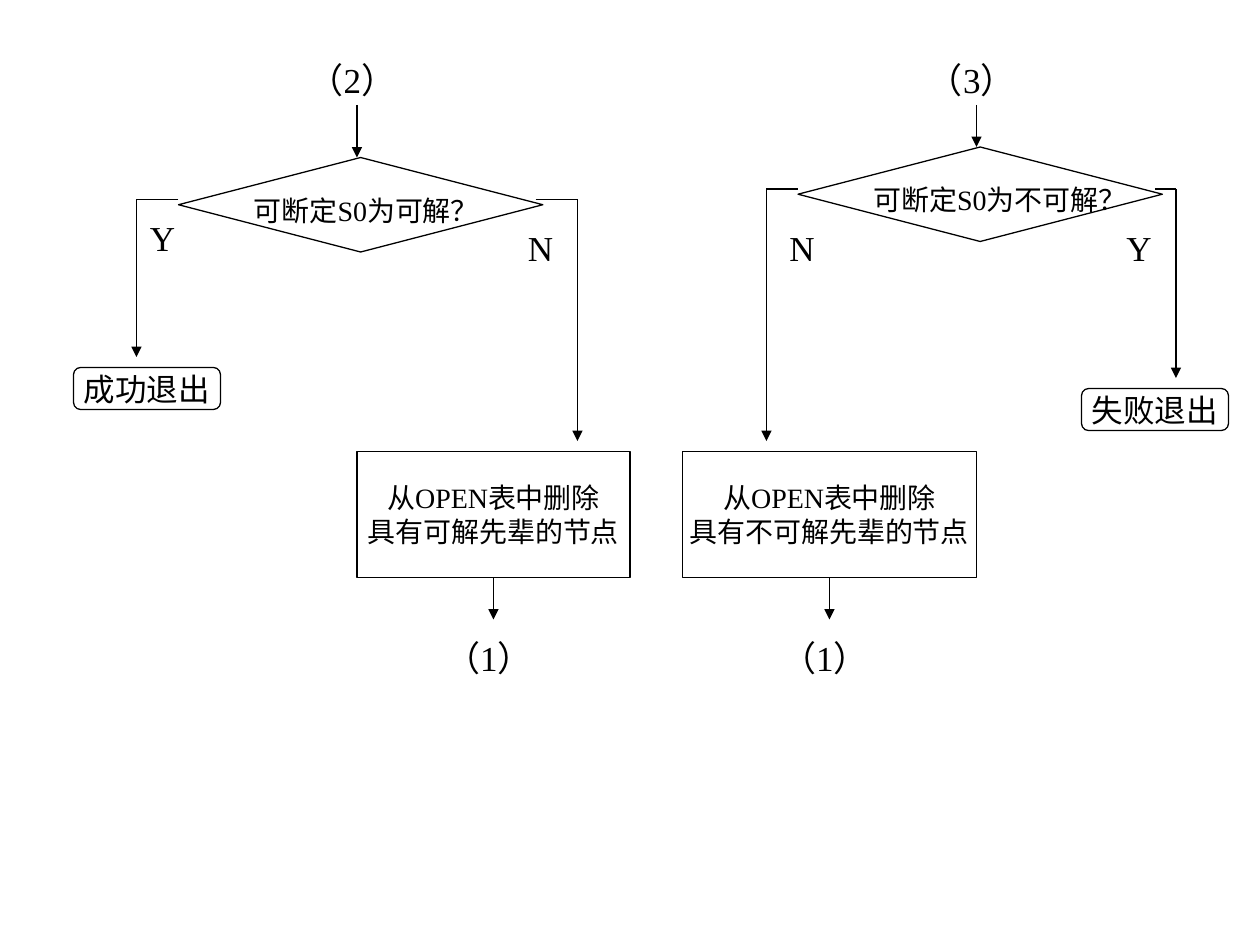
from dataclasses import dataclass

from lxml import etree
from pptx import Presentation
from pptx.dml.color import RGBColor
from pptx.enum.shapes import MSO_CONNECTOR, MSO_SHAPE
from pptx.enum.text import MSO_ANCHOR, MSO_AUTO_SIZE, PP_ALIGN
from pptx.oxml.ns import qn
from pptx.util import Pt

PX = 7620  # EMU per px, 120 px to the inch
DIAMOND, RECT, ROUND = MSO_SHAPE.DIAMOND, MSO_SHAPE.RECTANGLE, MSO_SHAPE.ROUNDED_RECTANGLE
STRAIGHT = MSO_CONNECTOR.STRAIGHT
CENTER, MIDDLE = PP_ALIGN.CENTER, MSO_ANCHOR.MIDDLE
GROW = MSO_AUTO_SIZE.SHAPE_TO_FIT_TEXT


@dataclass(frozen=True)
class Theme:
    font: str = "Times New Roman"
    ink: RGBColor = RGBColor(0, 0, 0)
    line: float = 0.75
    step: int = 16
    exit: int = 18
    label: int = 20


THEME = Theme()


def emu(*lengths):
    return [n * PX for n in lengths]


def write(sp, lines, size, align=None):
    tf = sp.text_frame
    tf.word_wrap = False
    for i, line in enumerate(lines):
        p = tf.paragraphs[0] if i == 0 else tf.add_paragraph()
        if align is not None:
            p.alignment = align
        r = p.add_run()
        r.text = line
        for name, value in {"name": THEME.font, "size": Pt(size)}.items():
            setattr(r.font, name, value)
        r.font.color.rgb = THEME.ink
    return tf


def add_label(shapes, text, x, y, w, h, size=THEME.label):
    sp = shapes.add_textbox(*emu(x, y, w, h))
    write(sp, [text], size).auto_size = GROW


def add_outline(shapes, kind, x, y, w, h, lines=(), size=THEME.step):
    sp = shapes.add_shape(kind, *emu(x, y, w, h))
    sp.shadow.inherit = False
    sp.fill.background()
    sp.line.color.rgb = THEME.ink
    sp.line.width = Pt(THEME.line)
    if lines:
        write(sp, lines, size, CENTER).vertical_anchor = MIDDLE


def add_line(shapes, x1, y1, x2, y2, arrow=True):
    c = shapes.add_connector(STRAIGHT, *emu(x1, y1, x2, y2))
    c.line.color.rgb = THEME.ink
    c.line.width = Pt(THEME.line)
    if arrow:
        etree.SubElement(c.line._get_or_add_ln(), qn("a:tailEnd"), type="triangle")
    etree.SubElement(c._element.spPr, qn("a:effectLst"))


def add_branch(shapes, left, top, branch):
    """Draw one branch of the flow, relative to its top left corner."""
    dx, dy = left + branch["decision"][0], top + branch["decision"][1]

    # Decision with its question
    group = shapes.add_group_shape().shapes
    add_outline(group, DIAMOND, dx, dy, 347, 90)
    add_label(group, branch["question"], dx + 60, dy + 28, branch["question_w"], 44, THEME.step)

    # Entry marker and arrow
    add_label(shapes, branch["entry"], dx + 112, top, 124, 53)
    add_line(shapes, dx + 170, top + 50, dx + 170, dy)

    # Answers: an arm out of the decision, then an arrow down
    for text, start, end, bottom, label_x, label_y in branch["answers"]:
        add_line(shapes, dx + start, dy + 40, dx + end, dy + 40, arrow=False)
        add_line(shapes, dx + end, dy + 40, dx + end, top + bottom)
        add_label(shapes, text, dx + label_x, dy + label_y, 48, 53)

    # Exit box
    x, y = branch["exit_at"]
    add_outline(shapes, ROUND, left + x, top + y, 140, 40, [branch["exit"]], THEME.exit)

    # Deletion step, leading back to marker 1
    x, w = branch["step"]
    add_outline(shapes, RECT, left + x, top + 380, w, 120, ["从OPEN表中删除", branch["deleted"]])
    middle = left + x + w // 2
    add_line(shapes, middle, top + 500, middle, top + 540)
    add_label(shapes, "（1）", middle - 58, top + 550, 124, 53)


# answers: text, arm start and end, arrow bottom, label x and y
SOLVABLE = {
    "entry": "（2）", "question": "可断定S0为可解？", "question_w": 251,
    "decision": (100, 100), "step": (270, 260), "deleted": "具有可解先辈的节点",
    "exit": "成功退出", "exit_at": (0, 300),
    "answers": [("Y", 0, -40, 290, -39, 50), ("N", 340, 380, 370, 321, 60)],
}
UNSOLVABLE = {
    "entry": "（3）", "question": "可断定S0为不可解？", "question_w": 277,
    "decision": (110, 90), "step": (0, 280), "deleted": "具有不可解先辈的节点",
    "exit": "失败退出", "exit_at": (380, 320),
    "answers": [("N", 0, -30, 370, -20, 70), ("Y", 340, 360, 310, 301, 70)],
}


def main():
    prs = Presentation()
    prs.slide_width, prs.slide_height = emu(1200, 900)
    s = prs.slides.add_slide(prs.slide_layouts[6])
    add_branch(s.shapes, 70, 50, SOLVABLE)
    add_branch(s.shapes, 650, 50, UNSOLVABLE)
    prs.save("out.pptx")


if __name__ == "__main__":
    main()
